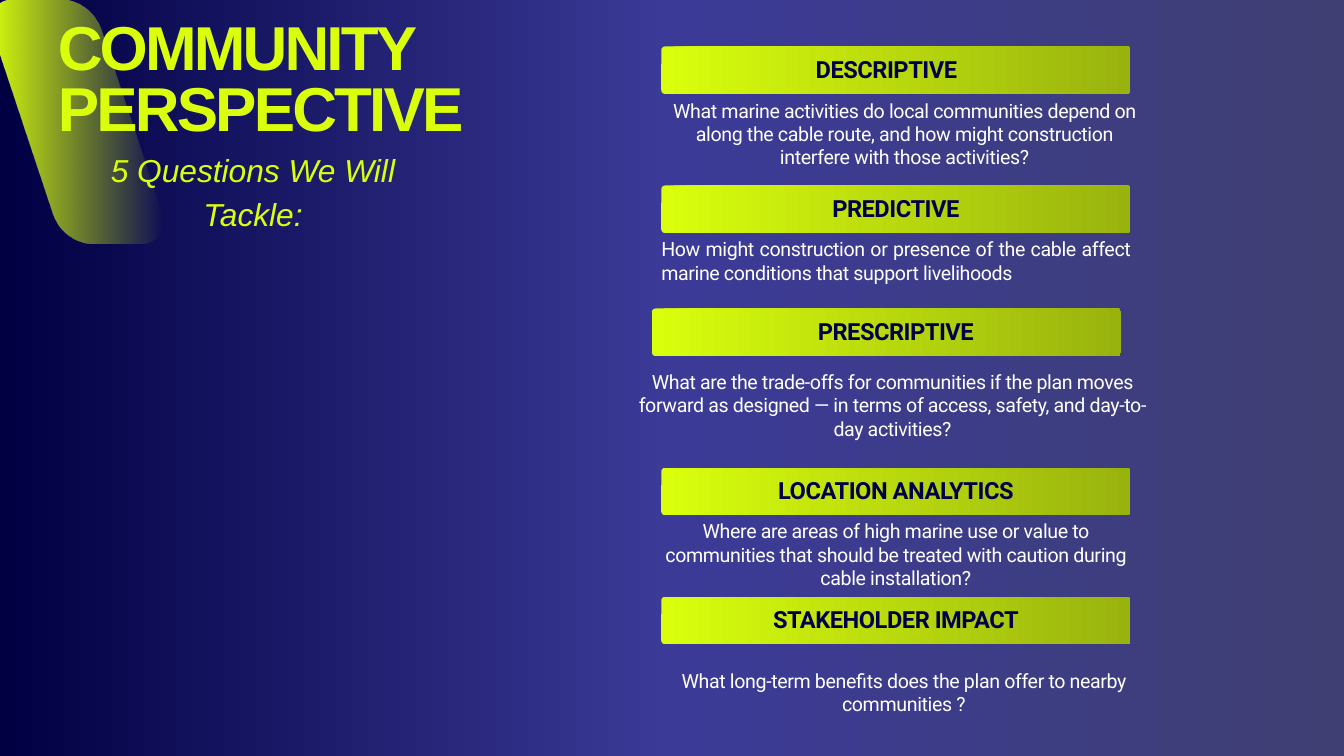
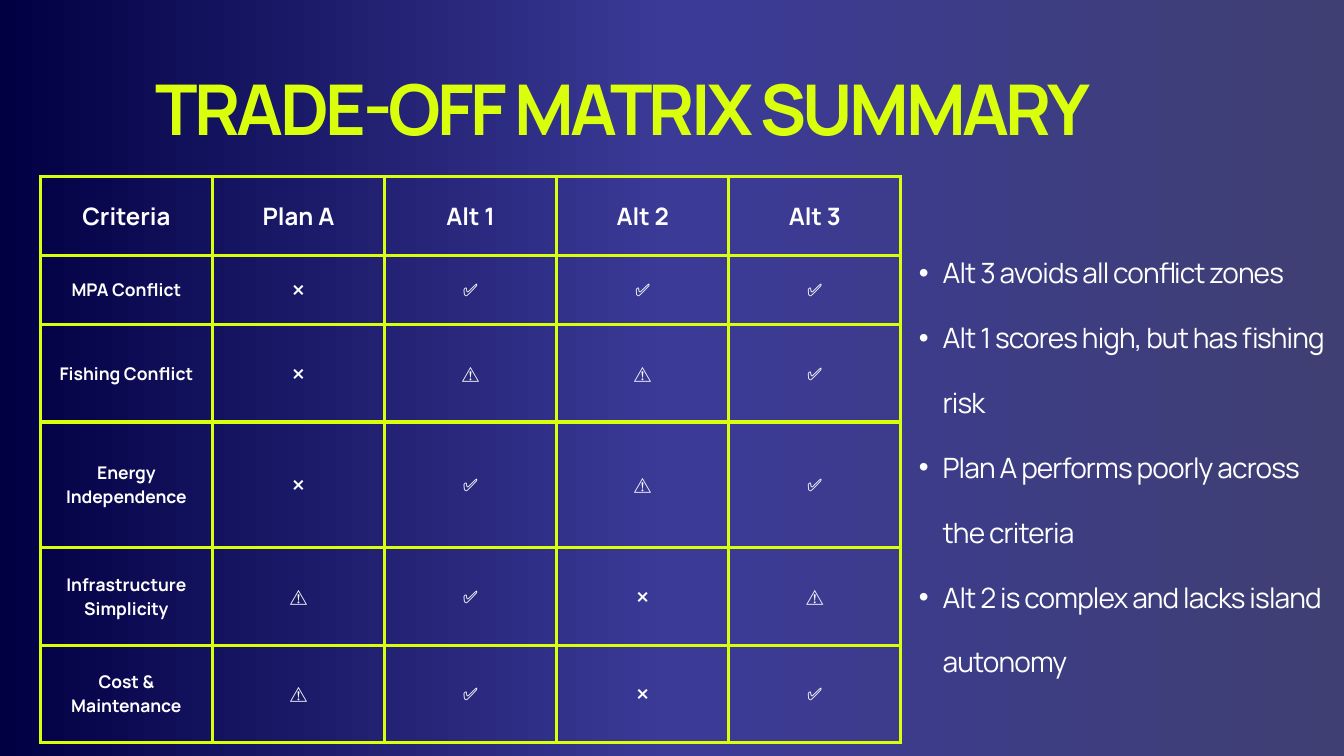
from pptx import Presentation
from pptx.dml.color import RGBColor
from pptx.enum.shapes import MSO_SHAPE
from pptx.enum.text import MSO_ANCHOR, MSO_AUTO_SIZE, PP_ALIGN
from pptx.oxml.ns import qn
from pptx.util import Pt
from lxml import etree

LEFT, MID, JUST = PP_ALIGN.LEFT, PP_ALIGN.CENTER, PP_ALIGN.JUSTIFY
TOP, CENTER = MSO_ANCHOR.TOP, MSO_ANCHOR.MIDDLE
ROUND = MSO_SHAPE.ROUNDED_RECTANGLE
NO_FIT = MSO_AUTO_SIZE.NONE

LIME, OLIVE, NAVY, WHITE = "D9FF0D", "99B30E", "000149", "FFFFFF"
BACK = [(0, "010043", 100), (50, "3B3A97", 100), (100, "3F3F73", 100)]
BAR = [(0, LIME, 100), (100, OLIVE, 100)]
FADE = [(0, LIME, 100), (100, LIME, 0)]

HEAD = dict(size=Pt(66.4), name="Arial", bold=True, color=LIME, track=-3, lead=65.7)
SUB = dict(size=Pt(34), name="Arial", italic=True, color=LIME, lead=47.6)
LABEL = dict(size=Pt(25.3), name="Roboto", bold=True, color=NAVY, track=-0.5, lead=30.1)
ASK = dict(size=Pt(21), name="Roboto", color=WHITE, track=-0.4, lead=25)
BANNER = dict(size=Pt(75), name="Manrope", bold=True, color=LIME, track=-3.8, lead=67.5)
POINT = dict(size=Pt(30), name="Manrope", color=WHITE, track=-0.9, lead=69.5)
TOP_ROW = dict(size=Pt(25.7), name="Manrope", bold=True, color=WHITE, lead=35.9)
ROW = dict(TOP_ROW, size=Pt(18.7), lead=26.1)

# bar left, bar top, label left, label, question box, question, alignment
ASKS = [
    (708.5, 49.7, 698.4, "DESCRIPTIVE", (708.5, 105.8, 521.3, 76.3),
     "What marine activities do local communities depend on along the cable route, "
     "and how might construction interfere with those activities?", MID),
    (708.5, 198.7, 708.5, "PREDICTIVE", (708.5, 254.2, 502.6, 51.8),
     "How might construction or presence of the cable affect marine conditions "
     "that support livelihoods", JUST),
    (698.4, 330.5, 708.5, "PRESCRIPTIVE", (682.6, 396.7, 547.2, 76.3),
     "What are the trade-offs for communities if the plan moves forward as designed "
     "— in terms of access, safety, and day-to-day activities?", MID),
    (708.5, 501.1, 708.5, "LOCATION ANALYTICS", (708.5, 556.6, 502.6, 76.3),
     "Where are areas of high marine use or value to communities that should be "
     "treated with caution during cable installation?", MID),
    (708.5, 639.4, 708.5, "STAKEHOLDER IMPACT", (717.1, 716.4, 502.6, 51.8),
     "What long-term benefits does the plan offer to nearby communities ?", MID),
]

YES, NO, RISK = "✅", "❌", "⚠️"
MATRIX = [
    ("Criteria", "Plan A", "Alt 1", "Alt 2", "Alt 3"),
    ("MPA Conflict", NO, YES, YES, YES),
    ("Fishing Conflict", NO, RISK, RISK, YES),
    ("Energy Independence", NO, YES, RISK, YES),
    ("Infrastructure Simplicity", RISK, YES, NO, RISK),
    ("Cost & Maintenance", RISK, YES, NO, YES),
]
ROWS = [84.2, 74.2, 104.4, 134.6, 104.4, 104.4]

POINTS = [
    "Alt 3 avoids all conflict zones",
    "Alt 1 scores high, but has fishing risk",
    "Plan A performs poorly across the criteria",
    "Alt 2 is complex and lacks island autonomy",
]


def paint(fill, code):
    fill.solid()
    fill.fore_color.rgb = RGBColor.from_string(code)


def blend(fill, root, stops):
    """Give fill a left-to-right gradient of (percent, colour, opacity) stops."""
    fill.gradient()
    fill.gradient_angle = 0
    marks = next(root.iter(qn("a:gsLst")))
    for old in list(marks):
        marks.remove(old)
    for spot, code, alpha in stops:
        stop = etree.SubElement(marks, qn("a:gs"), pos=str(spot * 1000))
        color = etree.SubElement(stop, qn("a:srgbClr"), val=code)
        if alpha < 100:
            etree.SubElement(color, qn("a:alpha"), val=str(alpha * 1000))


def finish(shape, stops):
    shape.shadow.inherit = False
    shape.line.fill.background()
    blend(shape.fill, shape._element, stops)


def write(frame, lines, look, align=LEFT):
    """Fill a text frame with one paragraph per line."""
    for i, line in enumerate(lines):
        para = frame.paragraphs[0] if i == 0 else frame.add_paragraph()
        para.alignment = align
        para.line_spacing = Pt(look["lead"])
        para.space_before = Pt(0)
        run = para.add_run()
        run.text = line
        for key, value in look.items():
            if key == "color":
                paint(run.font.fill, value)
            elif key == "track":
                run._r.get_or_add_rPr().set("spc", str(round(value * 100)))
            elif key != "lead":
                setattr(run.font, key, value)


def place(shape, box, lines, look, align=LEFT):
    """Move a text shape to box, clear its insets and write into it."""
    shape.left, shape.top, shape.width, shape.height = map(Pt, box)
    frame = shape.text_frame
    frame.word_wrap, frame.auto_size, frame.vertical_anchor = True, NO_FIT, TOP
    for side in ("left", "top", "right", "bottom"):
        setattr(frame, "margin_" + side, 0)
    write(frame, lines, look, align)


def add_text(slide, box, text, look, align=MID):
    place(slide.shapes.add_textbox(0, 0, 0, 0), box, [text], look, align)


def add_slide(deck, layout, title, box, look):
    slide = deck.slides.add_slide(deck.slide_layouts[layout])
    blend(slide.background.fill, slide._element, BACK)
    place(slide.shapes.title, box, [title], look)
    return slide


def curve(a, b, c, d, steps=12):
    """Points along a cubic curve, without its start."""
    for i in range(1, steps + 1):
        t = i / steps
        u = 1 - t
        yield tuple(u**3 * p + 3 * u * u * t * q + 3 * u * t * t * r + t**3 * s
                    for p, q, r, s in zip(a, b, c, d))


def add_slant(slide, x, y):
    """Slanted, round-cornered band fading to the right."""
    ends = [
        ((25.2, 0), (18, 0), (10.1, 3.6), (5.8, 10.1)),
        ((5.8, 10.1), (1.4, 16.6), (0, 24.5), (2.9, 31.7)),
        ((68.4, 229), (74.9, 247.7), (92.2, 260.6), (112.3, 260.6)),
        ((162.7, 260.6), (169.9, 260.6), (177.1, 257), (182.2, 250.6)),
        ((182.2, 250.6), (186.5, 244.8), (187.9, 236.2), (185, 229)),
        ((119.5, 31.7), (113, 13), (95, 0), (75.6, 0)),
    ]
    dots = [dot for end in ends for dot in (end[0], *curve(*end))]
    dots = [(Pt(x + p), Pt(y + q)) for p, q in dots]
    pen = slide.shapes.build_freeform(*dots[0])
    pen.add_line_segments(dots[1:], close=True)
    shape = pen.convert_to_shape()
    finish(shape, FADE)
    tree = slide.shapes._spTree
    tree.remove(shape._element)
    tree.insert(2, shape._element)


def add_bar(slide, x, y, width=502.6, height=51):
    bar = slide.shapes.add_shape(ROUND, Pt(x), Pt(y), Pt(width), Pt(height))
    bar.adjustments[0] = 0.08
    finish(bar, BAR)


def edge(cell, code, width):
    props = cell._tc.get_or_add_tcPr()
    for i, side in enumerate(("lnL", "lnR", "lnT", "lnB")):
        line = etree.Element(qn("a:" + side), w=str(Pt(width)))
        fill = etree.SubElement(line, qn("a:solidFill"))
        etree.SubElement(fill, qn("a:srgbClr"), val=code)
        props.insert(i, line)


def add_matrix(slide, x, y, width):
    count = len(MATRIX[0])
    grid = slide.shapes.add_table(len(MATRIX), count, Pt(x), Pt(y),
                                  Pt(width), Pt(sum(ROWS))).table
    grid.first_row = grid.horz_banding = False
    for col in grid.columns:
        col.width = Pt(width / count)
    for i, (row, height) in enumerate(zip(MATRIX, ROWS)):
        grid.rows[i].height = Pt(height)
        for j, text in enumerate(row):
            cell = grid.cell(i, j)
            cell.fill.background()
            cell.vertical_anchor = CENTER
            for side in ("left", "top", "right", "bottom"):
                setattr(cell, "margin_" + side, Pt(15))
            write(cell.text_frame, [text], ROW if i else TOP_ROW, MID)
            edge(cell, LIME, 3.75)


def add_points(slide, box):
    body = slide.placeholders[1]
    place(body, box, POINTS, POINT)
    for para in body.text_frame.paragraphs:
        props = para._p.get_or_add_pPr()
        props.set("marL", str(Pt(51)))
        props.set("indent", str(Pt(-25.5)))


def ask_slide(deck):
    slide = add_slide(deck, 5, "COMMUNITY PERSPECTIVE", (62, 23, 612, 134), HEAD)
    add_slant(slide, -11.5, 0)
    add_text(slide, (62, 154.8, 418.3, 95), "5 Questions We Will Tackle:", SUB)
    for x, y, left, label, box, text, align in ASKS:
        add_bar(slide, x, y)
        add_text(slide, (left, y + 9.2, 502.6, 30.2), label, LABEL)
        add_text(slide, box, text, ASK, align)


def matrix_slide(deck):
    slide = add_slide(deck, 1, "TRADE-OFF MATRIX SUMMARY",
                      (166.3, 92.2, 1107.4, 78.5), BANNER)
    add_matrix(slide, 43.2, 189.4, 922)
    add_points(slide, (959, 240.5, 474.5, 476.6))


def main():
    deck = Presentation()
    deck.slide_width, deck.slide_height = Pt(1440), Pt(810)
    ask_slide(deck)
    matrix_slide(deck)
    deck.save("out.pptx")


if __name__ == "__main__":
    main()
